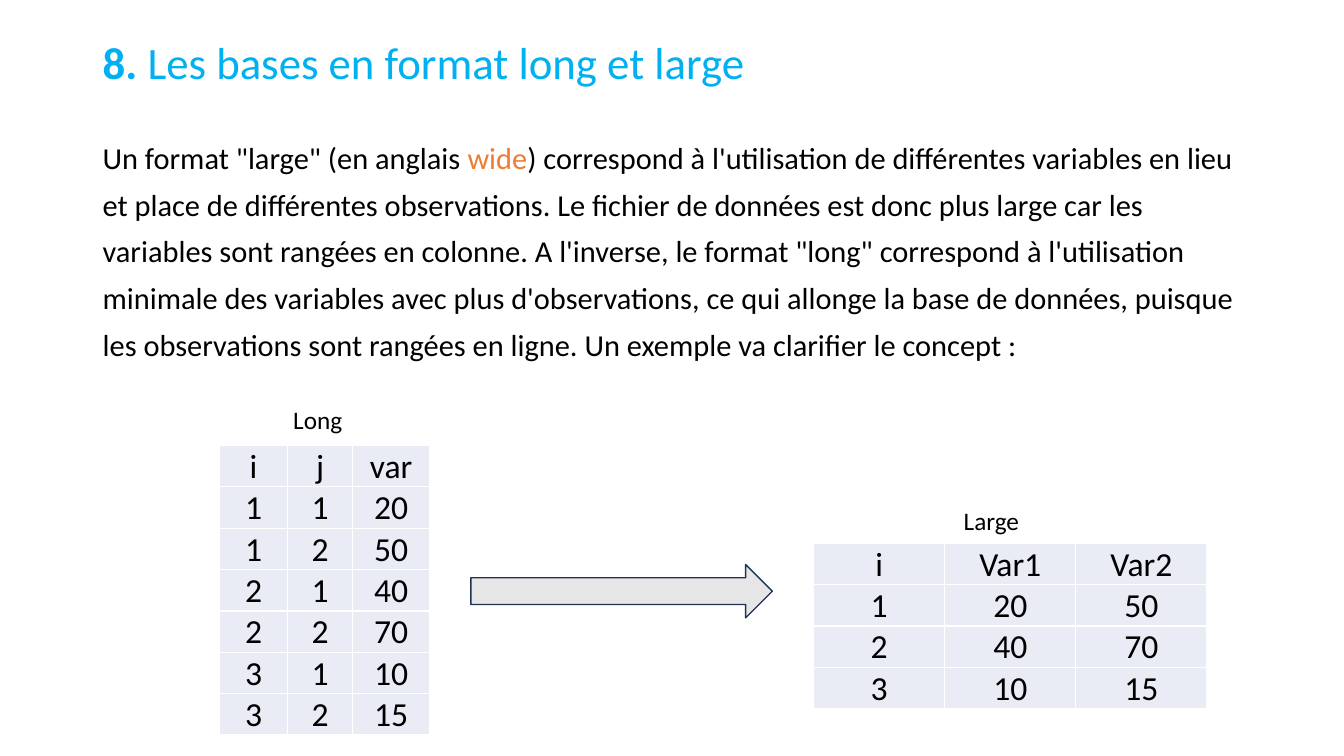
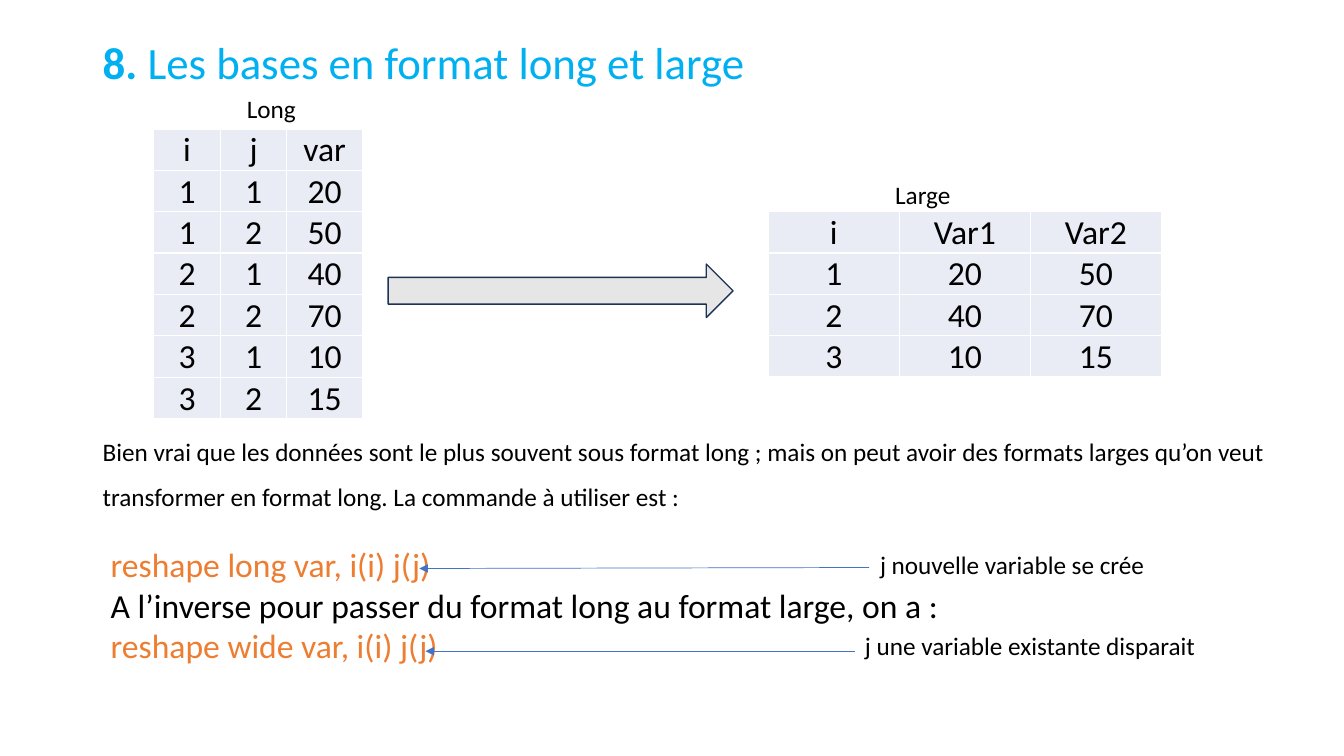
from dataclasses import dataclass

from lxml import etree
from pptx import Presentation
from pptx.dml.color import RGBColor
from pptx.enum.shapes import MSO_CONNECTOR, MSO_SHAPE
from pptx.enum.text import MSO_ANCHOR, PP_ALIGN
from pptx.oxml.ns import qn
from pptx.slide import Slide
from pptx.util import Inches, Pt

CENTER = PP_ALIGN.CENTER
TOP, MIDDLE = MSO_ANCHOR.TOP, MSO_ANCHOR.MIDDLE
STRAIGHT = MSO_CONNECTOR.STRAIGHT
RIGHT_ARROW = MSO_SHAPE.RIGHT_ARROW


@dataclass(frozen=True)
class Theme:
    font: str = "Calibri"
    title: str = "00B0F0"
    text: str = "000000"
    accent: str = "ED7D31"
    cell: str = "E9EBF5"
    border: str = "FFFFFF"
    arrow: str = "E7E6E6"
    arrow_line: str = "1E3256"
    pointer: str = "4472C4"
    title_size: float = 32
    large_size: float = 24
    body_size: float = 21.7
    small_size: float = 18


THEME = Theme()


@dataclass(frozen=True)
class Box:
    left: float
    top: float
    width: float
    height: float

    def emu(self) -> tuple[int, int, int, int]:
        return (Inches(self.left), Inches(self.top),
                Inches(self.width), Inches(self.height))


@dataclass(frozen=True)
class Run:
    text: str
    color: str = THEME.text
    bold: bool = False


@dataclass(frozen=True)
class DataTable:
    label: str
    columns: tuple[float, ...]
    row_height: float
    rows: tuple[tuple[str, ...], ...]


@dataclass(frozen=True)
class Placement:
    """Where the long-to-large figure puts its parts on one slide."""
    long_label: Box
    long_table: tuple[float, float]
    arrow: Box
    large_label: Box
    large_table: tuple[float, float]


@dataclass(frozen=True)
class Note:
    text: str
    box: Box
    start: tuple[float, float]
    end: tuple[float, float]


LONG = DataTable("Long", (0.67, 0.65, 0.76), 0.41, (
    ("i", "j", "var"),
    ("1", "1", "20"),
    ("1", "2", "50"),
    ("2", "1", "40"),
    ("2", "2", "70"),
    ("3", "1", "10"),
    ("3", "2", "15"),
))
LARGE = DataTable("Large", (1.3, 1.3, 1.3), 0.4, (
    ("i", "Var1", "Var2"),
    ("1", "20", "50"),
    ("2", "40", "70"),
    ("3", "10", "15"),
))

TITLE_BOX = Box(0.92, 0.4, 11.5, 0.48)
TITLE = [Run("8. ", THEME.title, True),
         Run("Les bases en format long et large", THEME.title)]
DEFINITION = [
    Run("Un format \"large\" (en anglais "),
    Run("wide", THEME.accent),
    Run(") correspond à l'utilisation de différentes variables en lieu et place "
        "de différentes observations. Le fichier de données est donc plus large "
        "car les variables sont rangées en colonne. A l'inverse, le format "
        "\"long\" correspond à l'utilisation minimale des variables avec plus "
        "d'observations, ce qui allonge la base de données, puisque les "
        "observations sont rangées en ligne. Un exemple va clarifier le concept :"),
]
EXPLANATION = [
    Run("Bien vrai que les données sont le plus souvent sous format long ; mais on "
        "peut avoir des formats larges qu’on veut transformer en format long. "
        "La commande à utiliser est :"),
]
COMMANDS = [
    [Run("reshape long var, i(i) j(j)", THEME.accent)],
    [Run("A l’inverse pour passer du format long au format large, on a :")],
    [Run("reshape wide var, i(i) j(j)", THEME.accent)],
]
NOTES = [
    Note("j nouvelle variable se crée", Box(8.63, 5.4, 3.2, 0.4),
         (8.62, 5.63), (4.16, 5.64)),
    Note("j une variable existante disparait", Box(8.48, 6.2, 3.52, 0.4),
         (8.48, 6.46), (4.22, 6.46)),
]

EXAMPLE_PLACEMENT = Placement(
    Box(2.81, 3.96, 0.87, 0.4), (2.18, 4.42), Box(4.67, 5.6, 2.99, 0.53),
    Box(9.46, 4.96, 1.11, 0.4), (8.07, 5.39))
COMMAND_PLACEMENT = Placement(
    Box(2.35, 0.88, 0.87, 0.4), (1.52, 1.28), Box(3.85, 2.62, 3.42, 0.53),
    Box(8.78, 1.73, 1.11, 0.4), (7.62, 2.1))


def apply(target: object, values: dict[str, object]) -> None:
    for name, value in values.items():
        setattr(target, name, value)


def add_runs(p, runs: list[Run], size: float) -> None:
    for run in runs:
        r = p.add_run()
        r.text = run.text
        apply(r.font, {"name": THEME.font, "size": Pt(size), "bold": run.bold})
        r.font.color.rgb = RGBColor.from_string(run.color)


def add_text(s: Slide, box: Box, paragraphs: list[list[Run]], size: float,
             spacing: float = 1.0, anchor: MSO_ANCHOR = TOP) -> None:
    tf = s.shapes.add_textbox(*box.emu()).text_frame
    apply(tf, {"word_wrap": True, "vertical_anchor": anchor})
    for i, runs in enumerate(paragraphs):
        p = tf.add_paragraph() if i else tf.paragraphs[0]
        p.line_spacing = spacing
        add_runs(p, runs, size)


def set_borders(cell) -> None:
    """Put thin borders ahead of the fill, as the schema orders them."""
    tc_pr = cell._tc.get_or_add_tcPr()
    for i, tag in enumerate(("a:lnL", "a:lnR", "a:lnT", "a:lnB")):
        ln = etree.Element(qn(tag), w=str(Pt(1)))
        fill = etree.SubElement(ln, qn("a:solidFill"))
        etree.SubElement(fill, qn("a:srgbClr"), val=THEME.border)
        tc_pr.insert(i, ln)


def add_data_table(s: Slide, data: DataTable, left: float, top: float) -> None:
    box = Box(left, top, sum(data.columns), data.row_height * len(data.rows))
    table = s.shapes.add_table(len(data.rows), len(data.columns), *box.emu()).table
    apply(table, {"first_row": False, "horz_banding": False})
    for column, width in zip(table.columns, data.columns):
        column.width = Inches(width)
    for row, values in zip(table.rows, data.rows):
        row.height = Inches(data.row_height)
        for cell, value in zip(row.cells, values):
            apply(cell, {"margin_left": Inches(0.01), "margin_right": Inches(0.01),
                         "margin_top": Inches(0.01), "margin_bottom": 0,
                         "vertical_anchor": MIDDLE})
            cell.fill.solid()
            cell.fill.fore_color.rgb = RGBColor.from_string(THEME.cell)
            set_borders(cell)
            p = cell.text_frame.paragraphs[0]
            p.alignment = CENTER
            add_runs(p, [Run(value)], THEME.large_size)


def add_block_arrow(s: Slide, box: Box) -> None:
    sp = s.shapes.add_shape(RIGHT_ARROW, *box.emu())
    sp.shadow.inherit = False
    sp.fill.solid()
    sp.fill.fore_color.rgb = RGBColor.from_string(THEME.arrow)
    sp.line.color.rgb = RGBColor.from_string(THEME.arrow_line)
    sp.line.width = Pt(1)


def add_figure(s: Slide, at: Placement) -> None:
    for data, label_box, corner in ((LONG, at.long_label, at.long_table),
                                    (LARGE, at.large_label, at.large_table)):
        add_data_table(s, data, *corner)
        add_text(s, label_box, [[Run(data.label)]], THEME.small_size)
    add_block_arrow(s, at.arrow)


def add_note(s: Slide, note: Note) -> None:
    add_text(s, note.box, [[Run(note.text)]], THEME.small_size)
    ends = [Inches(v) for v in note.start + note.end]
    pointer = s.shapes.add_connector(STRAIGHT, *ends)
    pointer.line.color.rgb = RGBColor.from_string(THEME.pointer)
    pointer.line.width = Pt(0.5)
    etree.SubElement(pointer.line._get_or_add_ln(), qn("a:tailEnd"), type="triangle")
    etree.SubElement(pointer._element.spPr, qn("a:effectLst"))


def add_titled_slide(prs) -> Slide:
    s = prs.slides.add_slide(prs.slide_layouts[6])
    add_text(s, TITLE_BOX, [TITLE], THEME.title_size, 0.9, MIDDLE)
    return s


def build_example(prs) -> None:
    s = add_titled_slide(prs)
    add_text(s, Box(0.92, 1.23, 11.5, 2.73), [DEFINITION], THEME.body_size, 1.28)
    add_figure(s, EXAMPLE_PLACEMENT)


def build_commands(prs) -> None:
    s = add_titled_slide(prs)
    add_figure(s, COMMAND_PLACEMENT)
    add_text(s, Box(0.92, 4.13, 11.85, 0.96), [EXPLANATION], THEME.small_size, 1.5)
    add_text(s, Box(1, 5.35, 8.63, 1.31), COMMANDS, THEME.large_size)
    for note in NOTES:
        add_note(s, note)


def main() -> None:
    prs = Presentation()
    apply(prs, {"slide_width": Inches(13.33), "slide_height": Inches(7.5)})
    build_example(prs)
    build_commands(prs)
    prs.save("out.pptx")


if __name__ == "__main__":
    main()
